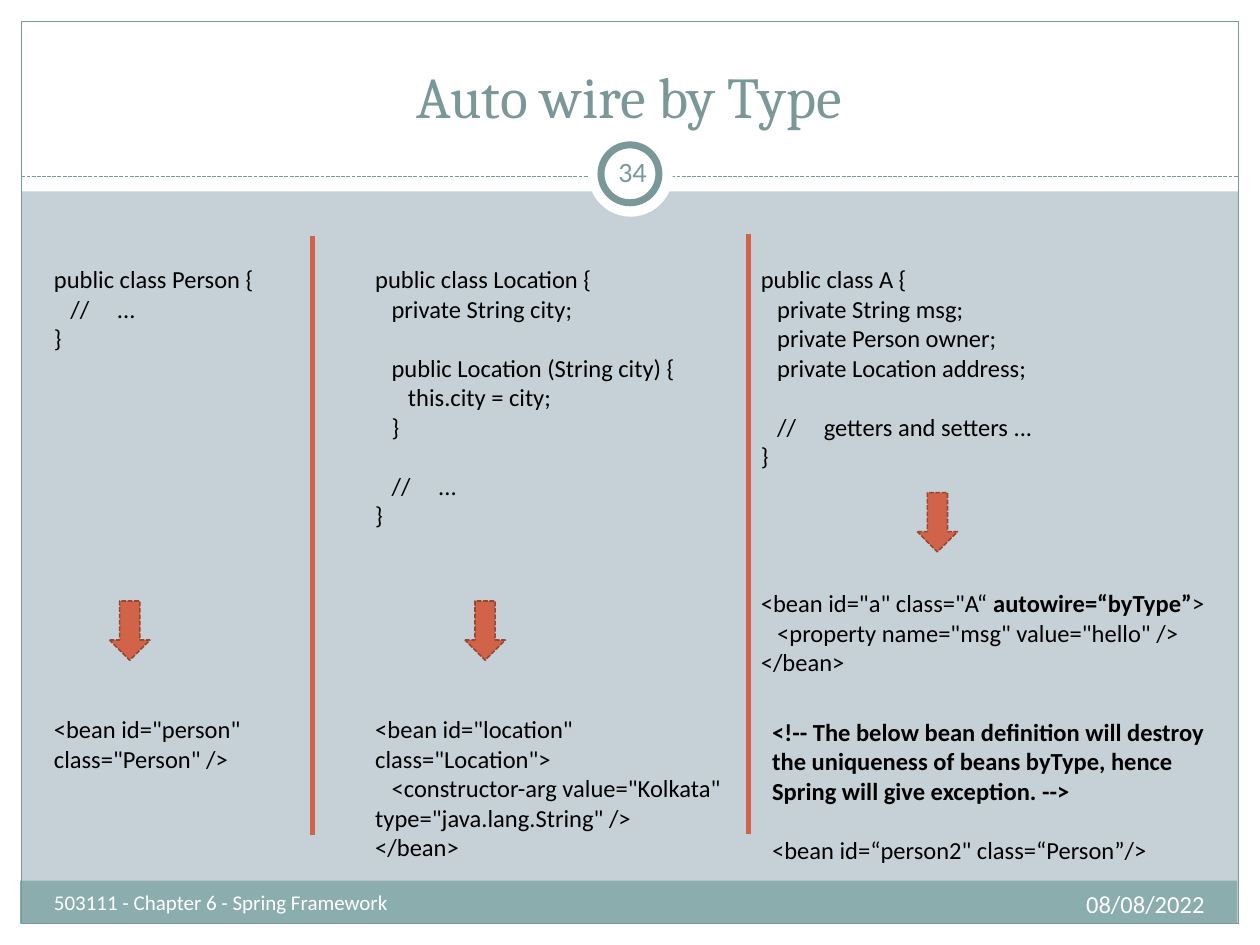
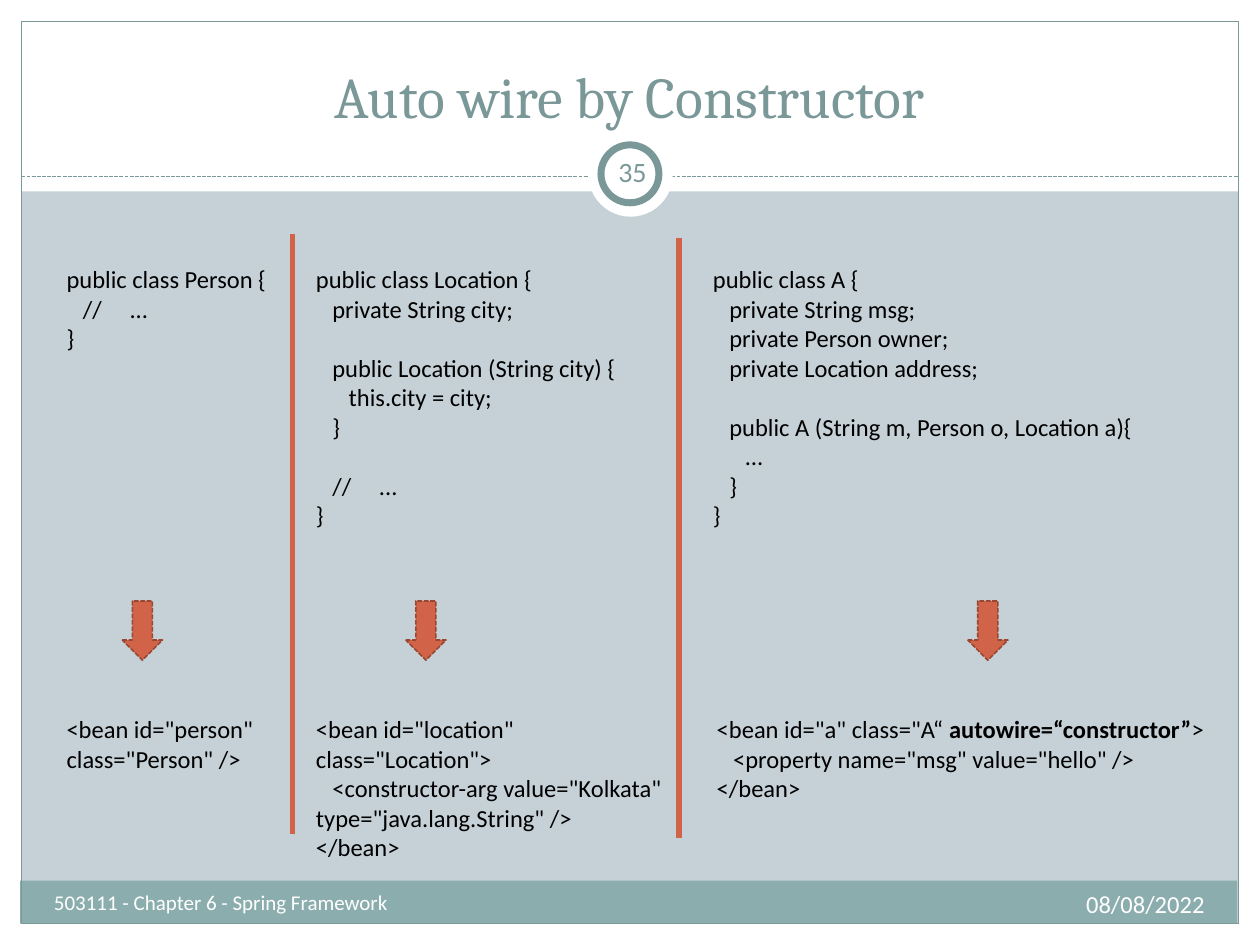
from dataclasses import dataclass

from lxml.etree import SubElement
from pptx import Presentation
from pptx.dml.color import RGBColor
from pptx.enum.dml import MSO_LINE
from pptx.enum.shapes import MSO_CONNECTOR, MSO_SHAPE
from pptx.enum.text import MSO_ANCHOR, MSO_AUTO_SIZE, PP_ALIGN
from pptx.oxml.ns import qn
from pptx.util import Inches, Pt


@dataclass(frozen=True)
class Theme:
    """Colours, fonts and measures shared by the slides."""
    paper: str = "C5D1D7"
    white: str = "FFFFFF"
    black: str = "000000"
    slate: str = "7B9899"
    band: str = "8CADAE"
    rust: str = "D16349"
    rust_dark: str = "994733"
    head_font: str = "Cambria"
    body_font: str = "Calibri"
    title_size: int = 33
    number_size: int = 16
    code_size: int = 14
    footer_size: int = 12
    blank_line: int = 17
    code_indent: float = 0.13
    comment_tab: float = 0.41


@dataclass(frozen=True)
class Line:
    """A code line; text between asterisks is bold."""
    text: str
    depth: int = 0
    gap: bool = False


@dataclass(frozen=True)
class Column:
    """A class listing, an arrow and the bean that configures the class."""
    code: list
    code_box: tuple
    arrow_at: tuple
    bean: list
    bean_box: tuple


T = Theme()
FOOTER = "503111 - Chapter 6 - Spring Framework"
DATE = "08/08/2022"

PERSON = [Line("public class Person {"), Line("//	...", 1), Line("}")]
PERSON_BEAN = [Line('<bean id="person" class="Person" />')]
LOCATION = [
    Line("public class Location {"),
    Line("private String city;", 1),
    Line("public Location (String city) {", 1, True),
    Line("this.city = city;", 2),
    Line("}", 1),
    Line("//	...", 1, True),
    Line("}"),
]
LOCATION_BEAN = [
    Line('<bean id="location" class="Location">'),
    Line('<constructor-arg value="Kolkata" type="java.lang.String" />', 1),
    Line("</bean>"),
]
A_FIELDS = [
    Line("public class A {"),
    Line("private String msg;", 1),
    Line("private Person owner;", 1),
    Line("private Location address;", 1),
]
A_SETTERS = A_FIELDS + [Line("//	getters and setters ...", 1, True), Line("}")]
A_CONSTRUCTOR = A_FIELDS + [
    Line("public A (String m, Person o, Location a){", 1, True),
    Line("…", 2),
    Line("}", 1),
    Line("}"),
]
WARNING = [
    Line("*<!-- The below bean definition will destroy the uniqueness of beans "
         "byType, hence Spring will give exception. -->*"),
    Line('<bean id=“person2" class=“Person”/>', gap=True),
]


def a_bean(mode):
    """Return the bean of class A for one autowire mode."""
    return [
        Line(f'<bean id="a" class="A“ *autowire=“{mode}”*>'),
        Line('<property name="msg" value="hello" />', 1),
        Line("</bean>"),
    ]


def assign(obj, values):
    """Set attributes of an object from a dict."""
    for name, value in values.items():
        setattr(obj, name, value)


def style_font(r, size, color, font=T.body_font, bold=False):
    """Format the font of a run."""
    assign(r.font, {"size": Pt(size), "name": font, "bold": bold})
    r.font.color.rgb = RGBColor.from_string(color)


def style_line(line, color, width, dash=None):
    """Format an outline or a connector line."""
    line.color.rgb = RGBColor.from_string(color)
    assign(line, {"width": Pt(width), "dash_style": dash})


def add_block(s, kind, box, fill=None, line=None):
    """Add a preset shape with an optional fill and outline."""
    sp = s.shapes.add_shape(kind, *map(Inches, box))
    sp.shadow.inherit = False
    if fill:
        sp.fill.solid()
        sp.fill.fore_color.rgb = RGBColor.from_string(fill)
    else:
        sp.fill.background()
    if line:
        style_line(sp.line, *line)
    else:
        sp.line.fill.background()
    return sp


def add_rule(s, start, end, line):
    """Add a straight line without a shadow."""
    cx = s.shapes.add_connector(MSO_CONNECTOR.STRAIGHT, *map(Inches, start + end))
    style_line(cx.line, *line)
    SubElement(cx.element.spPr, qn("a:effectLst"))
    return cx


def add_label(s, box, text, size, color, align=PP_ALIGN.LEFT, **frame):
    """Add a one-line text box."""
    tf = s.shapes.add_textbox(*map(Inches, box)).text_frame
    assign(tf, {"word_wrap": True, **frame})
    p = tf.paragraphs[0]
    p.alignment = align
    r = p.add_run()
    r.text = text
    style_font(r, size, color)


def add_code(s, box, lines):
    """Add a code listing with indented lines and spaced groups."""
    tf = s.shapes.add_textbox(*map(Inches, box)).text_frame
    assign(tf, {"word_wrap": True, "auto_size": MSO_AUTO_SIZE.SHAPE_TO_FIT_TEXT})
    for i, line in enumerate(lines):
        p = tf.add_paragraph() if i else tf.paragraphs[0]
        p.space_before = Pt(T.blank_line if line.gap else 0)
        pPr = p._p.get_or_add_pPr()
        pPr.set("marL", "0")
        pPr.set("indent", str(Inches(line.depth * T.code_indent)))
        if "	" in line.text:
            tabs = SubElement(pPr, qn("a:tabLst"))
            SubElement(tabs, qn("a:tab"), pos=str(Inches(T.comment_tab)), algn="l")
        for j, part in enumerate(line.text.split("*")):
            if part:
                r = p.add_run()
                r.text = part
                style_font(r, T.code_size, T.black, bold=j % 2 == 1)


def add_column(s, column):
    """Add a class listing, its arrow and its bean."""
    add_code(s, column.code_box, column.code)
    add_block(s, MSO_SHAPE.DOWN_ARROW, column.arrow_at + (0.32, 0.47), T.rust,
              (T.rust_dark, 0.91, MSO_LINE.SQUARE_DOT))
    add_code(s, column.bean_box, column.bean)


def build_frame(layout, s):
    """Draw the shared frame with a slide's shapes and move it to the layout."""
    layout.background.fill.solid()
    layout.background.fill.fore_color.rgb = RGBColor.from_string(T.paper)
    rect, oval = MSO_SHAPE.RECTANGLE, MSO_SHAPE.OVAL
    margins = [(0, 7.33, 10, 0.17), (0, 0, 10, 1.52),
               (0, 0, 0.17, 7.5), (9.83, 0, 0.17, 7.5)]
    frame = [add_block(s, rect, box, T.white) for box in margins]
    frame += [
        add_block(s, rect, (0.16, 6.99, 9.66, 0.34), T.band),
        add_block(s, rect, (0.17, 0.17, 9.66, 7.16), line=(T.slate, 0.75)),
        add_rule(s, (0.17, 1.4), (9.83, 1.4), (T.slate, 0.75, MSO_LINE.SQUARE_DOT)),
        add_block(s, oval, (4.67, 1.05, 0.67, 0.67), T.white),
        add_block(s, oval, (4.77, 1.15, 0.46, 0.46), T.white, (T.slate, 4)),
    ]
    for i, sp in enumerate(frame, 101):
        sp.element.xpath(".//p:cNvPr")[0].set("id", str(i))
        layout.shapes.element.append(sp.element)


def set_title(s, text):
    """Place and format the title placeholder."""
    sp = s.shapes.title
    assign(sp, {"left": Inches(0.33), "top": Inches(0.25),
                "width": Inches(9.33), "height": Inches(0.83)})
    tf = sp.text_frame
    assign(tf, {"vertical_anchor": MSO_ANCHOR.BOTTOM, "word_wrap": True,
                "auto_size": MSO_AUTO_SIZE.NONE})
    p = tf.paragraphs[0]
    p.alignment = PP_ALIGN.CENTER
    r = p.add_run()
    r.text = text
    style_font(r, T.title_size, T.slate, T.head_font)


def fill_slide(s, title, number, columns, dividers):
    """Fill a slide with its title, columns, dividers and footer."""
    set_title(s, title)
    inset = dict.fromkeys(("margin_left", "margin_right"), Inches(0.05))
    add_label(s, (4.77, 1.12, 0.5, 0.48), str(number), T.number_size, T.slate,
              PP_ALIGN.CENTER, vertical_anchor=MSO_ANCHOR.MIDDLE, **inset)
    for column in columns:
        add_column(s, column)
    for x, y in dividers:
        add_rule(s, (x, y), (x, y + 4.76), (T.rust, 3))
    add_label(s, (0.33, 7.01, 3.92, 0.4), FOOTER, T.footer_size, T.white)
    add_label(s, (6.33, 7.01, 3.33, 0.4), DATE, T.code_size, T.white, PP_ALIGN.RIGHT)


def shared_columns(person_x, location_x):
    """Return the Person and Location columns at the given left edges."""
    return [
        Column(PERSON, (person_x, 2.05, 1.84, 0.8), (person_x + 0.54, 4.77),
               PERSON_BEAN, (person_x, 5.62, 1.84, 0.57)),
        Column(LOCATION, (location_x, 2.05, 2.6, 2.2), (location_x + 0.81, 4.77),
               LOCATION_BEAN, (location_x, 5.62, 3.07, 1.27)),
    ]


def main():
    """Build and save the presentation."""
    prs = Presentation()
    assign(prs, {"slide_width": Inches(10), "slide_height": Inches(7.5)})
    layout = prs.slide_layouts[5]
    by_type, by_constructor = [prs.slides.add_slide(layout) for _ in range(2)]
    build_frame(layout, by_type)

    setters = Column(A_SETTERS, (5.94, 2.05, 3.94, 1.74), (7.28, 3.91),
                     a_bean("byType"), (5.94, 4.62, 3.86, 0.8))
    fill_slide(by_type, "Auto wire by Type", 34,
               shared_columns(0.33, 2.88) + [setters], [(2.48, 1.87), (5.94, 1.86)])
    add_code(by_type, (6.03, 5.64, 3.86, 1.27), WARNING)

    constructor = Column(A_CONSTRUCTOR, (5.56, 2.05, 4.65, 2.2), (7.68, 4.77),
                         a_bean("constructor"), (5.59, 5.62, 4.5, 0.8))
    fill_slide(by_constructor, "Auto wire by Constructor", 35,
               shared_columns(0.43, 2.41) + [constructor], [(2.32, 1.86), (5.39, 1.89)])
    prs.save("out.pptx")


if __name__ == "__main__":
    main()
